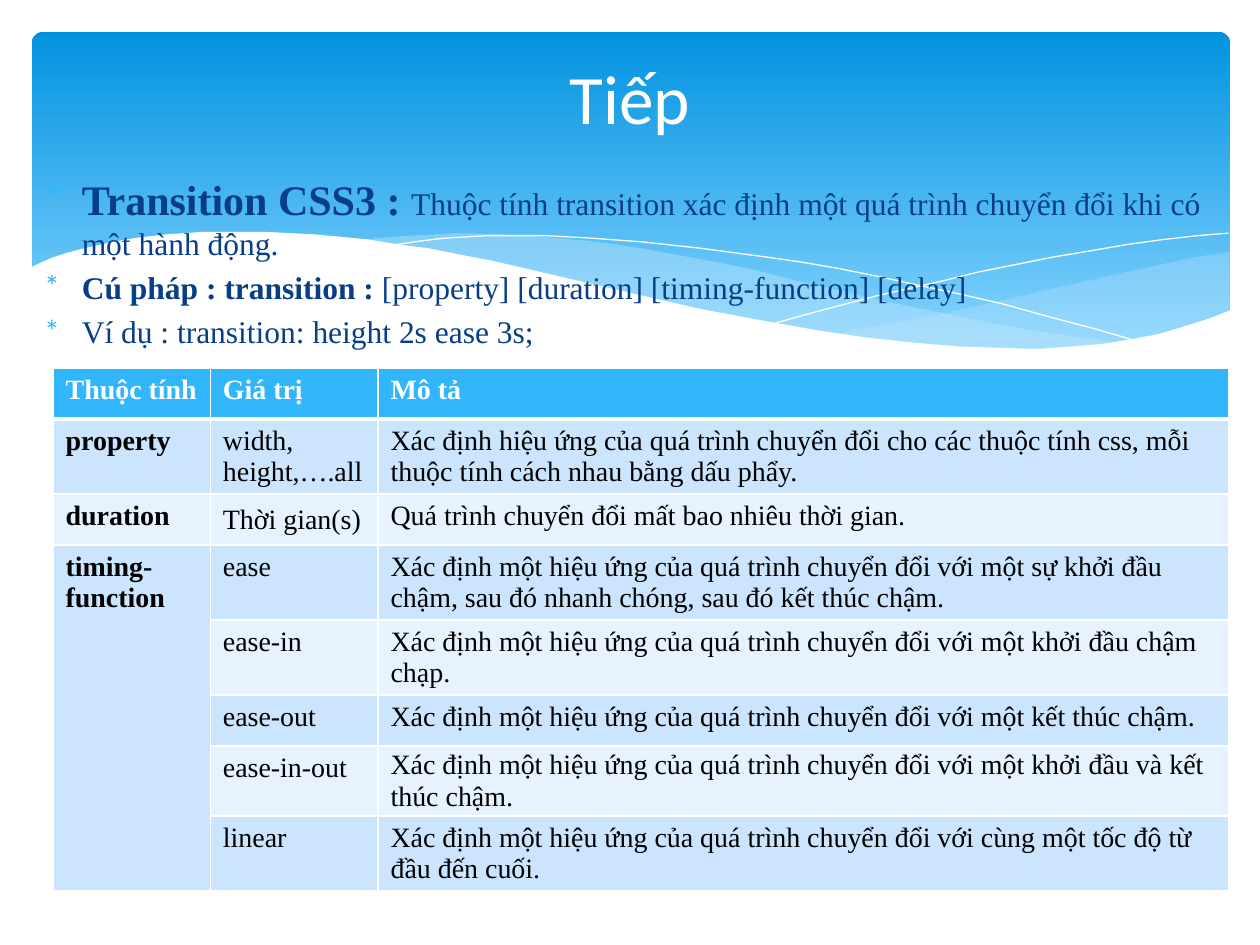
from pptx import Presentation
from pptx.dml.color import RGBColor
from pptx.enum.shapes import MSO_SHAPE as Shape
from pptx.enum.text import MSO_ANCHOR as Anchor, PP_ALIGN as Align
from pptx.oxml import parse_xml as parse
from pptx.oxml.ns import nsdecls as decls, qn
from pptx.util import Cm, Pt

WHITE, BLACK, NAVY, SKY = "FFFFFF", "000000", "073E87", "31B6FD"
BANDS = "CCE5FE", "E7F2FF"


def tint(code):
    return RGBColor.from_string(code)


def put(para, text, size=16, color=BLACK, bold=False, font="Times New Roman"):
    run = para.add_run()
    run.text = text
    run.font.size = Pt(size)
    run.font.name = font
    run.font.bold = bold
    run.font.color.rgb = tint(color)


class Deck:
    def __init__(self):
        self.prs = Presentation()
        self.prs.slide_width, self.prs.slide_height = Cm(25.4), Cm(19.05)
        self.slide = self.prs.slides.add_slide(self.prs.slide_layouts[5])
        self.shapes = self.slide.shapes

    def place(self, item, left, top, width, height):
        item.left, item.top = Cm(left), Cm(top)
        item.width, item.height = Cm(width), Cm(height)

    def title(self, text, *box):
        item = self.shapes.title
        self.place(item, *box)
        item.element.getparent().append(item.element)
        frame = item.text_frame
        frame.vertical_anchor = Anchor.MIDDLE
        para = frame.paragraphs[0]
        para.alignment = Align.CENTER
        put(para, text, size=39.6, color=WHITE, font="Calibri")

    def panel(self, *box):
        item = self.shapes.add_shape(Shape.ROUNDED_RECTANGLE, *map(Cm, box))
        item.adjustments[0] = 0.034
        item.shadow.inherit = False
        item.line.fill.background()
        item.fill.gradient()
        item.fill.gradient_angle = 270
        for stop, spot, code in zip(item.fill.gradient_stops, (0, 0.9), ("0293E0", "81D2FE")):
            stop.position = spot
            stop.color.rgb = tint(code)

    def wave(self, spots, fill=None, alpha=100):
        pen = self.shapes.build_freeform(*spots[0], scale=Cm(0.0254))
        pen.add_line_segments(spots[1:], close=fill is not None)
        item = pen.convert_to_shape()
        item.shadow.inherit = False
        if fill is None:
            item.fill.background()
            item.line.color.rgb = tint(WHITE)
            item.line.width = Pt(0.75)
            return
        item.line.fill.background()
        item.fill.solid()
        item.fill.fore_color.rgb = tint(fill)
        if alpha < 100:
            code = item.element.spPr.find(qn("a:solidFill"))[0]
            code.append(parse(f'<a:alpha {decls("a")} val="{alpha * 1000}"/>'))

    def points(self, rows, *box):
        frame = self.shapes.add_textbox(*map(Cm, box)).text_frame
        frame.word_wrap = True
        for i, row in enumerate(rows):
            para = frame.add_paragraph() if i else frame.paragraphs[0]
            para.space_before = Pt(3.6 if i else 0)
            props = para._p.get_or_add_pPr()
            props.set("marL", str(Cm(0.76)))
            props.set("indent", str(-Cm(0.76)))
            for xml in (f'<a:buClr {decls("a")}><a:srgbClr val="{SKY}"/></a:buClr>',
                        f'<a:buFont {decls("a")} typeface="Calibri"/>',
                        f'<a:buChar {decls("a")} char="*"/>'):
                props.append(parse(xml))
            for text, size, bold in row:
                put(para, text, size=size, color=NAVY, bold=bold)

    def edge(self, cell, base):
        props = cell._tc.get_or_add_tcPr()
        for i, (side, wide) in enumerate((("L", 1), ("R", 1), ("T", 1), ("B", base))):
            props.insert(i, parse(
                f'<a:ln{side} {decls("a")} w="{Pt(wide)}"><a:solidFill>'
                f'<a:srgbClr val="{WHITE}"/></a:solidFill></a:ln{side}>'))

    def table(self, rows, cols, left, top, high, mid):
        item = self.shapes.add_table(len(rows), len(cols), Cm(left), Cm(top),
                                     Cm(sum(cols)), Cm(high * len(rows)))
        grid = item.table
        for col, wide in zip(grid.columns, cols):
            col.width = Cm(wide)
        for r, row in enumerate(rows):
            for c, text in enumerate(row):
                cell = grid.cell(r, c)
                cell.fill.solid()
                cell.fill.fore_color.rgb = tint(BANDS[(r - 1) % 2] if r else SKY)
                self.edge(cell, 1 if r else 3)
                if (r, c) in mid:
                    cell.vertical_anchor = Anchor.MIDDLE
                    cell.margin_top = cell.margin_bottom = Cm(0.08)
                frame = cell.text_frame
                for i, line in enumerate(text.split("\n") if text else ()):
                    para = frame.add_paragraph() if i else frame.paragraphs[0]
                    put(para, line, color=BLACK if r else WHITE, bold=not (r and c))
        return grid


deck = Deck()
deck.panel(0.64, 0.64, 24.16, 6.86)
deck.wave([(976, 200), (948, 204), (921, 210), (876, 220), (832, 230), (779, 242),
           (729, 253), (661, 265), (691, 269), (719, 272), (745, 275), (769, 277),
           (803, 278), (835, 277), (863, 275), (889, 272), (913, 267), (935, 262),
           (949, 257), (963, 252), (976, 247)], fill="C6E7FC", alpha=29)
deck.wave([(893, 273), (866, 269), (837, 265), (807, 260), (775, 254), (741, 247),
           (706, 240), (668, 231), (629, 222), (598, 214), (569, 208), (541, 203),
           (514, 198), (489, 194), (465, 191), (442, 189), (420, 187), (399, 186),
           (361, 185), (328, 187), (299, 189), (286, 191), (323, 196), (362, 203),
           (404, 211), (449, 222), (491, 232), (530, 240), (566, 248), (601, 255),
           (634, 261), (665, 266), (695, 270), (722, 274), (748, 276), (773, 277),
           (807, 278), (838, 278), (867, 276)], fill="C6E7FC", alpha=40)
deck.wave([(309, 195), (328, 192), (353, 189), (387, 187), (433, 187), (469, 189),
           (510, 192), (556, 197), (608, 204), (636, 208), (665, 213), (695, 219),
           (727, 226), (760, 233), (795, 241), (831, 251), (869, 261), (907, 272)])
deck.wave([(613, 257), (653, 246), (695, 235), (748, 223), (776, 216), (806, 210),
           (836, 204), (866, 199), (895, 194), (924, 190), (951, 187), (975, 185)])
deck.wave([(977, 246), (959, 253), (940, 259), (920, 265), (899, 269), (875, 273),
           (850, 275), (823, 277), (793, 276), (761, 275), (726, 272), (688, 268),
           (648, 262), (603, 254), (555, 245), (503, 233), (447, 220), (391, 207),
           (365, 202), (340, 197), (316, 194), (292, 190), (271, 188), (250, 186),
           (230, 185), (211, 184), (161, 184), (132, 186), (106, 189), (85, 193),
           (67, 197), (52, 201), (40, 205), (29, 210), (23, 213), (23, 329),
           (977, 329)], fill=WHITE)
deck.points([
    [("Transition CSS3 : ", 24, True),
     ("Thuộc tính transition xác định một quá trình chuyển đổi khi có một hành động.", 18, False)],
    [("Cú pháp : transition : ", 18, True),
     ("[property] [duration] [timing-function] [delay]", 18, False)],
    [("Ví dụ : transition: height 2s ease 3s;", 18, False)],
], 0.64, 3.38, 24.13, 4)
deck.title("Tiếp", 1.27, 0.94, 22.86, 2.03)

LEAD = "Xác định một hiệu ứng của quá trình chuyển đổi với "
grid = deck.table([
    ("Thuộc tính", "Giá trị", "Mô tả"),
    ("property", "width,\nheight,….all",
     "Xác định hiệu ứng của quá trình chuyển đổi cho các thuộc tính css, "
     "mỗi thuộc tính cách nhau bằng dấu phẩy."),
    ("duration", "Thời gian(s)", "Quá trình chuyển đổi mất bao nhiêu thời gian."),
    ("timing-function", "ease",
     LEAD + "một sự khởi đầu chậm, sau đó nhanh chóng, sau đó kết thúc chậm."),
    ("", "ease-in", LEAD + "một khởi đầu chậm chạp."),
    ("", "ease-out", LEAD + "một kết thúc chậm."),
    ("", "ease-in-out", LEAD + "một khởi đầu và kết thúc chậm."),
    ("", "linear", LEAD + "cùng một tốc độ từ đầu đến cuối."),
], (3.17, 3.38, 17.15), 1.07, 7.42, 1.03, mid={(2, 1), (6, 2)})
grid.cell(3, 0).merge(grid.cell(7, 0))
deck.prs.save("out.pptx")
